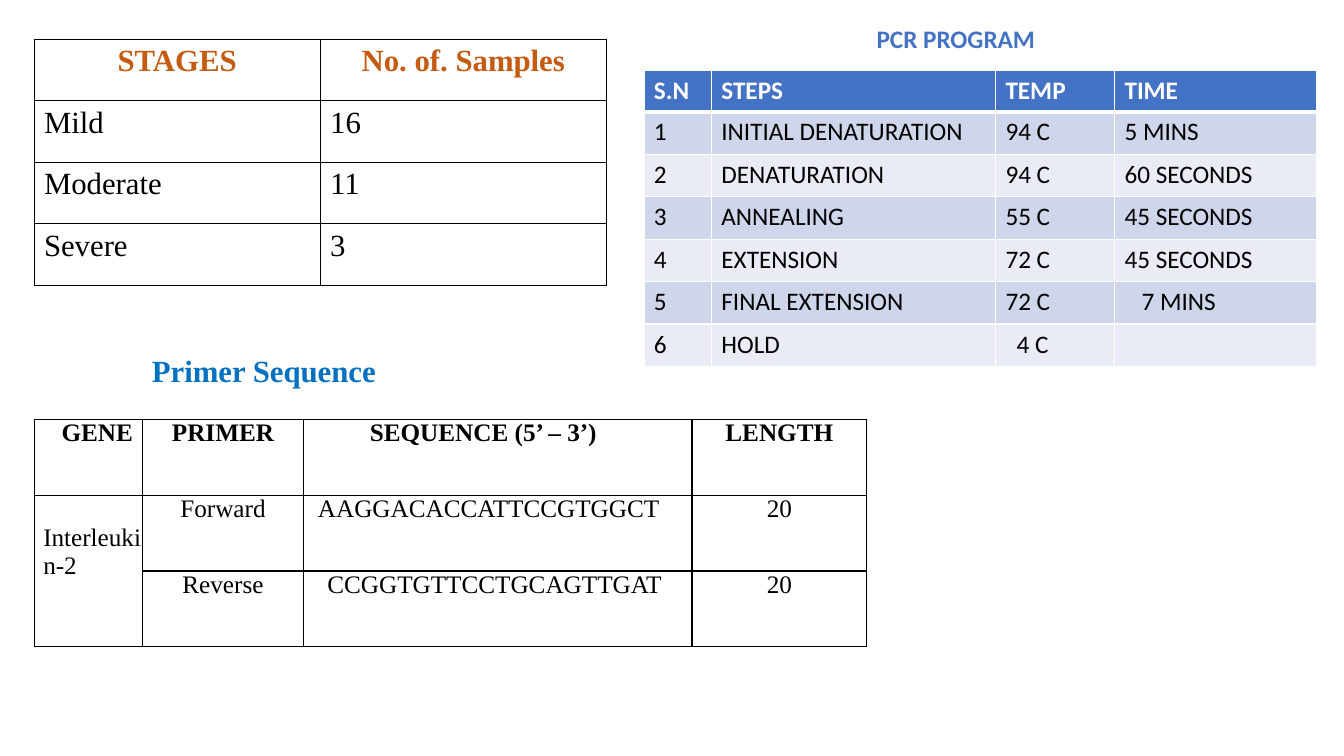
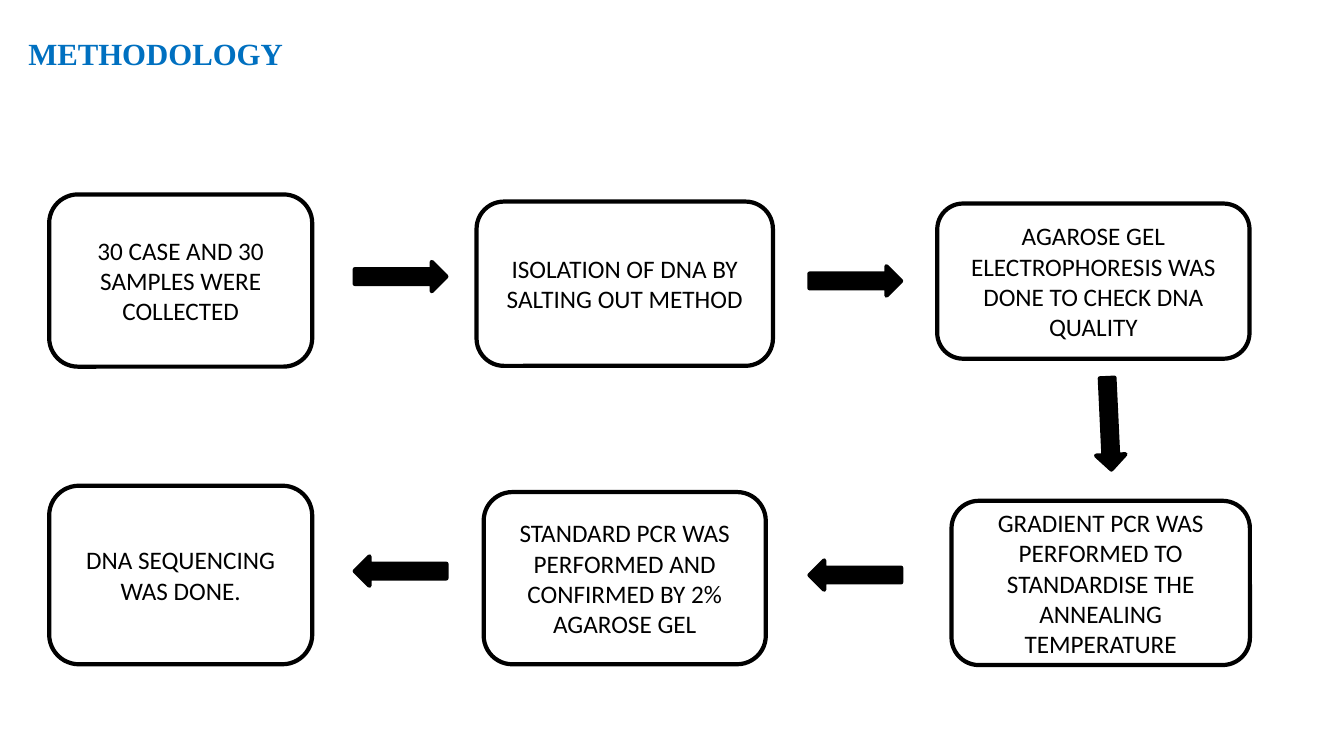
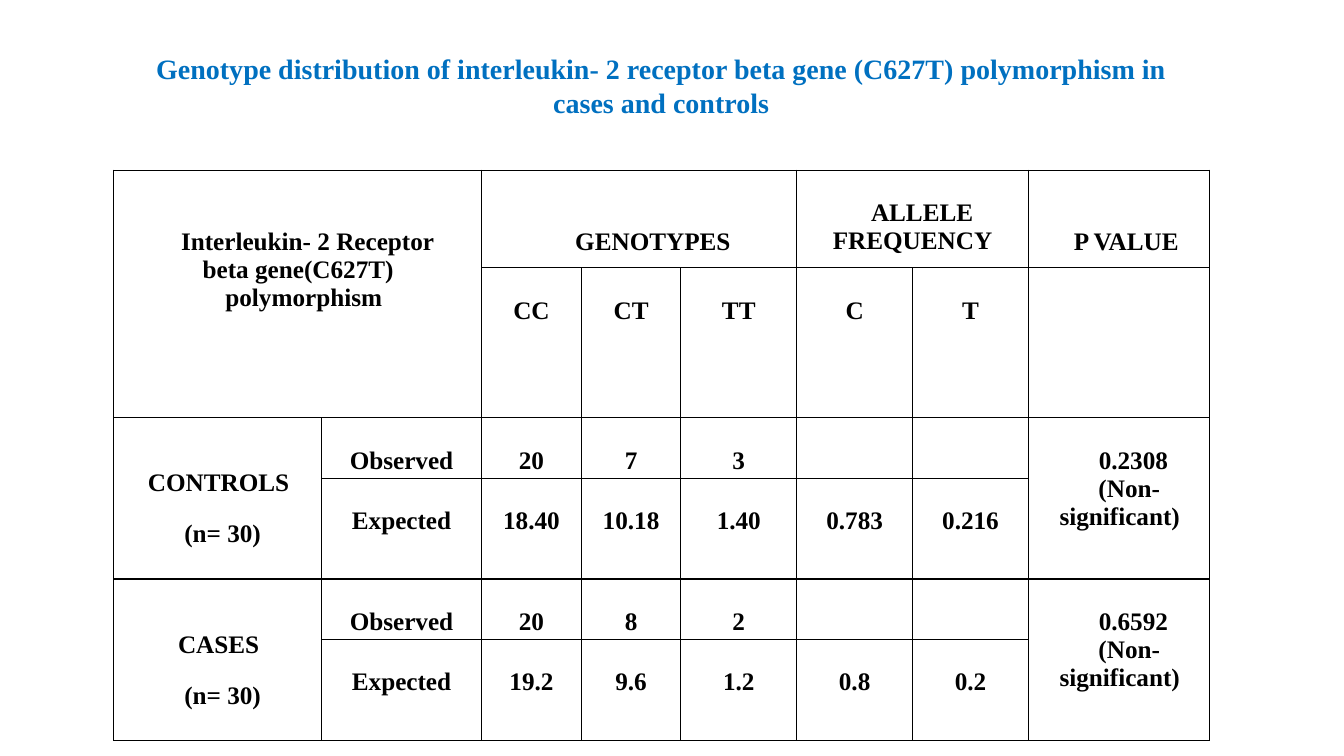
from dataclasses import dataclass

from lxml import etree
from pptx import Presentation
from pptx.dml.color import RGBColor
from pptx.enum.shapes import MSO_SHAPE
from pptx.enum.text import MSO_ANCHOR, MSO_AUTO_SIZE, PP_ALIGN
from pptx.oxml.ns import qn
from pptx.util import Cm, Pt

# Shared style
BLACK = RGBColor(0x00, 0x00, 0x00)
WHITE = RGBColor(0xFF, 0xFF, 0xFF)
TITLE_BLUE = RGBColor(0x00, 0x70, 0xC0)
ACCENT_BLUE = RGBColor(0x44, 0x72, 0xC4)
ORANGE = RGBColor(0xC5, 0x5A, 0x11)
DARK_BAND = RGBColor(0xCF, 0xD5, 0xEA)
LIGHT_BAND = RGBColor(0xE9, 0xEB, 0xF5)
SERIF = "Times New Roman"
SANS = "Calibri"
LEFT, CENTER, RIGHT = PP_ALIGN.LEFT, PP_ALIGN.CENTER, PP_ALIGN.RIGHT
TOP, MIDDLE = MSO_ANCHOR.TOP, MSO_ANCHOR.MIDDLE
ROUND_BOX, ARROW = MSO_SHAPE.ROUNDED_RECTANGLE, MSO_SHAPE.RIGHT_ARROW
NO_AUTOFIT = MSO_AUTO_SIZE.NONE
TITLE_ONLY = 5
LINE = 0.73  # height of one 18 pt serif line, in cm


def write(frame, text, font=SERIF, size=18, color=BLACK, bold=False,
          align=LEFT, indent=0, first=0, before=0):
    """Fill the frame's empty paragraph, or add a new one after its text."""
    paragraph = frame.add_paragraph() if frame.text else frame.paragraphs[0]
    paragraph.alignment = align
    paragraph.space_before = Pt(before)
    properties = paragraph._p.get_or_add_pPr()
    properties.set("marL", str(Cm(indent)))
    properties.set("indent", str(Cm(first)))
    run = paragraph.add_run()
    run.text = text
    run.font.name, run.font.size = font, Pt(size)
    run.font.bold, run.font.color.rgb = bold, color


@dataclass
class Entry:
    """A table cell: (text, format) pairs, margins in cm, span in rows and columns."""
    contents: list
    top: float = 0
    right: float = 0
    span: tuple = (1, 1)


def entry(text, top=0, right=0, span=(1, 1), **text_format):
    return Entry([(text, text_format)], top, right, span)


def add_border(cell, color, widths):
    """Draw the left, right, top and bottom lines of a cell."""
    properties = cell._tc.get_or_add_tcPr()
    for side, width in zip("LRTB", widths):
        line = etree.SubElement(properties, qn(f"a:ln{side}"), w=str(Pt(width)))
        fill = etree.SubElement(line, qn("a:solidFill"))
        etree.SubElement(fill, qn("a:srgbClr"), val=str(color))


class Deck:
    def __init__(self):
        self.presentation = Presentation()
        self.presentation.slide_width = Cm(33.87)
        self.presentation.slide_height = Cm(19.05)
        self.slide = None

    def new_slide(self, title, box, size=22, align=LEFT):
        layout = self.presentation.slide_layouts[TITLE_ONLY]
        self.slide = self.presentation.slides.add_slide(layout)
        shape = self.slide.shapes.title
        shape.left, shape.top, shape.width, shape.height = map(Cm, box)
        self.fill_frame(shape, TOP, title, size=size, color=TITLE_BLUE,
                        bold=True, align=align)

    def fill_frame(self, shape, anchor, text, **text_format):
        frame = shape.text_frame
        frame.word_wrap, frame.auto_size = True, NO_AUTOFIT
        frame.vertical_anchor = anchor
        write(frame, text, **text_format)

    def label(self, text, box, **text_format):
        shape = self.slide.shapes.add_textbox(*map(Cm, box))
        self.fill_frame(shape, TOP, text, **text_format)

    def outlined(self, kind, box, fill):
        shape = self.slide.shapes.add_shape(kind, *map(Cm, box))
        shape.shadow.inherit = False
        shape.fill.solid()
        shape.fill.fore_color.rgb = fill
        shape.line.color.rgb, shape.line.width = BLACK, Pt(3)
        return shape

    def step(self, text, box):
        shape = self.outlined(ROUND_BOX, box, WHITE)
        self.fill_frame(shape, MIDDLE, text, font=SANS, align=CENTER)

    def arrow(self, left, top, rotation):
        self.outlined(ARROW, (left, top, 2.31, 0.74), BLACK).rotation = rotation

    def table(self, left, top, columns, heights, rows, margins=(0, 0), border=BLACK,
              header_line=1, fills=None, header=None, **text_format):
        """Margins are the side and top ones; header holds the first row's format."""
        table = self.slide.shapes.add_table(
            len(heights), len(columns), Cm(left), Cm(top),
            Cm(sum(columns)), Cm(sum(heights))).table
        table.first_row = table.horz_banding = False
        for column, width in zip(table.columns, columns):
            column.width = Cm(width)
        for row, height in zip(table.rows, heights):
            row.height = Cm(height)
        side, above = margins
        for row_index, row in enumerate(rows):
            style = {**text_format, **((header or {}) if row_index == 0 else {})}
            for column_index, value in enumerate(row):
                cell = table.cell(row_index, column_index)
                add_border(cell, border, (1, 1, header_line if row_index == 1 else 1,
                                          header_line if row_index == 0 else 1))
                if fills:
                    cell.fill.solid()
                    cell.fill.fore_color.rgb = fills[row_index]
                else:
                    cell.fill.background()
                if value is None:
                    continue
                item = value if isinstance(value, Entry) else entry(value)
                cell.margin_left, cell.margin_right = Cm(side), Cm(side + item.right)
                cell.margin_top, cell.margin_bottom = Cm(above + item.top), Cm(above)
                for text, own_format in item.contents:
                    write(cell.text_frame, text, **{**style, **own_format})
                if item.span != (1, 1):
                    row_span, column_span = item.span
                    cell.merge(table.cell(row_index + row_span - 1,
                                          column_index + column_span - 1))


def build_samples(deck):
    deck.new_slide("Primer Sequence", (0.86, 8.74, 11.58, 1.2), align=CENTER)

    # Samples by stage
    deck.table(0.86, 0.99, [7.21] * 2, [1.55] * 4,
               [["STAGES", "No. of. Samples"], ["Mild", "16"],
                ["Moderate", "11"], ["Severe", "3"]],
               margins=(0.25, 0.13), size=22,
               header={"color": ORANGE, "bold": True, "align": CENTER})

    # Primers
    gene = entry("Interleukin-2", top=LINE, span=(2, 1), align=LEFT, indent=0.23)
    deck.table(0.86, 10.57, [2.74, 4.04, 9.8, 4.4], [1.91] * 3,
               [[entry("GENE", align=LEFT, indent=0.69), "PRIMER",
                 entry("SEQUENCE (5’ – 3’)", align=LEFT, indent=1.68), "LENGTH"],
                [gene, "Forward",
                 entry("AAGGACACCATTCCGTGGCT", right=0.82, align=RIGHT), "20"],
                [None, "Reverse",
                 entry("CCGGTGTTCCTGCAGTTGAT", right=0.76, align=RIGHT), "20"]],
               align=CENTER, header={"bold": True})

    # PCR program
    deck.label("PCR PROGRAM", (21.84, 0.46, 5.72, 1.02), font=SANS,
               color=ACCENT_BLUE, bold=True)
    deck.table(16.23, 1.78, [1.7, 7.16, 3, 5.08], [1.02] + [1.07] * 6,
               [["S.N", "STEPS", "TEMP", "TIME"],
                ["1", "INITIAL DENATURATION", "94 C", "5 MINS"],
                ["2", "DENATURATION", "94 C", "60 SECONDS"],
                ["3", "ANNEALING", "55 C", "45 SECONDS"],
                ["4", "EXTENSION", "72 C", "45 SECONDS"],
                ["5", "FINAL EXTENSION", "72 C", entry("7 MINS", indent=0.43)],
                ["6", "HOLD", entry("4 C", indent=0.28), None]],
               margins=(0.25, 0.13), border=WHITE, header_line=3,
               fills=[ACCENT_BLUE] + [DARK_BAND, LIGHT_BAND] * 3, font=SANS,
               header={"color": WHITE, "bold": True})


def build_methodology(deck):
    deck.new_slide("METHODOLOGY", (0.46, 0.74, 16.92, 1.19))

    # Steps, in reading order of the flow
    for text, box in [
        ("30 CASE AND 30 SAMPLES WERE COLLECTED", (1.24, 4.9, 6.63, 4.34)),
        ("ISOLATION OF DNA BY SALTING OUT METHOD", (12.01, 5.08, 7.47, 4.14)),
        ("AGAROSE GEL ELECTROPHORESIS WAS DONE TO CHECK DNA QUALITY",
         (23.62, 5.13, 7.87, 3.91)),
        ("GRADIENT PCR WAS PERFORMED TO STANDARDISE THE ANNEALING TEMPERATURE",
         (23.98, 12.62, 7.52, 4.14)),
        ("STANDARD PCR WAS PERFORMED AND CONFIRMED BY 2% AGAROSE GEL",
         (12.19, 12.4, 7.11, 4.34)),
        ("DNA SEQUENCING WAS DONE.", (1.24, 12.24, 6.63, 4.5)),
    ]:
        deck.step(text, box)

    # Arrows between the steps
    for left, top, rotation in [(8.94, 6.6, 0), (20.4, 6.71, 0), (26.8, 10.31, 87.3),
                                (20.4, 14.12, 180), (8.94, 14.02, 180)]:
        deck.arrow(left, top, rotation)


def lowered(*texts):
    """Cells whose text starts one line down."""
    return [entry(text, top=LINE) for text in texts]


def group_rows(name, observed, expected, p_value):
    """The observed and expected rows of one group of people."""
    group = Entry([(name, {"indent": 0.05}), ("(n= 30)", {"indent": 0.25, "before": 16.5})],
                  top=1.3, span=(2, 1))
    result = Entry([(p_value, {"indent": 0.97}),
                    ("(Non- significant)", {"indent": 0.28, "first": 0.48})],
                   top=LINE, right=0.25, span=(2, 1))
    return [[group, *lowered("Observed", *observed), None, None, result],
            [None, *lowered("Expected", *expected), None]]


def build_genotypes(deck):
    deck.new_slide("Genotype distribution of interleukin- 2 receptor beta gene (C627T) "
                   "polymorphism in cases and controls",
                   (3.15, 1.17, 27.03, 1.96), size=20, align=CENTER)

    # Column heads
    gene = Entry([("Interleukin- 2 Receptor", {"indent": 1.5}),
                  ("beta gene(C627T) polymorphism", {"indent": 1.3, "first": -0.28})],
                 top=2 * LINE, right=1, span=(2, 2))
    heads = [
        [gene, None, entry("GENOTYPES", top=2 * LINE, span=(1, 3), indent=0.69),
         None, None,
         entry("ALLELE FREQUENCY", top=LINE, right=0.3, span=(1, 2), indent=0.3, first=0.48),
         None, entry("P VALUE", top=2 * LINE, indent=0.36)],
        [None, None, *lowered("CC", "CT", "TT", "C", "T"), None],
    ]

    # Groups
    controls = group_rows("CONTROLS", ["20", "7", "3"],
                          ["18.40", "10.18", "1.40", "0.783", "0.216"], "0.2308")
    cases = group_rows("CASES", ["20", "8", "2"],
                       ["19.2", "9.6", "1.2", "0.8", "0.2"], "0.6592")
    deck.table(2.87, 4.29, [5.23, 4.04, 2.51, 2.51, 2.92, 2.92, 2.92, 4.57],
               [2.46, 3.78] + [1.52, 2.54] * 2, heads + controls + cases,
               bold=True, align=CENTER)


def main():
    deck = Deck()
    build_samples(deck)
    build_methodology(deck)
    build_genotypes(deck)
    deck.presentation.save("out.pptx")


if __name__ == "__main__":
    main()
